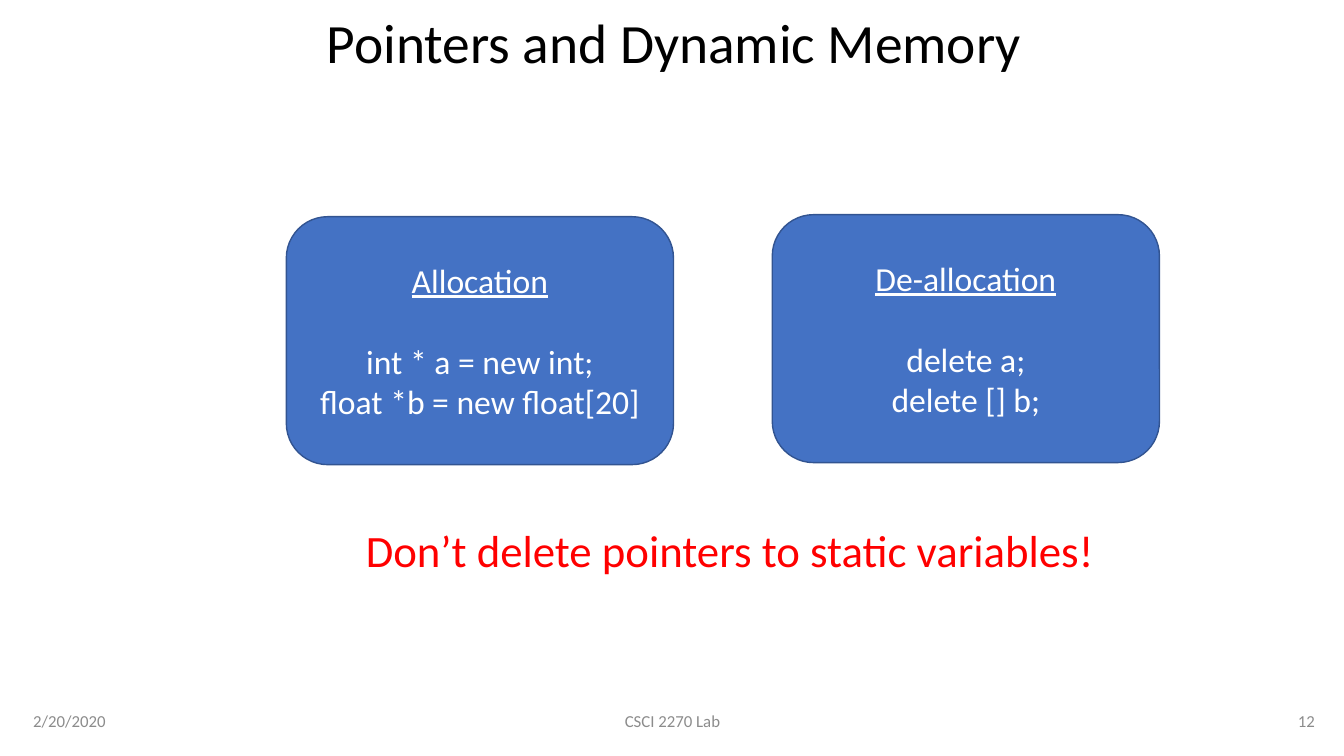
import pptx
import pptx.util
import pptx.dml.color
import pptx.enum.shapes
import pptx.enum.text

Inches = pptx.util.Inches
Pt = pptx.util.Pt
ALIGN = pptx.enum.text.PP_ALIGN
ANCHOR = pptx.enum.text.MSO_ANCHOR


def paint(color, code):
    color.rgb = pptx.dml.color.RGBColor.from_string(code)


def write(par, text, size, code, align):
    par.alignment = align
    run = par.add_run()
    run.text = text
    run.font.name = "Calibri"
    run.font.size = Pt(size)
    paint(run.font.color, code)
    return run


deck = pptx.Presentation()
deck.slide_width = Inches(13.33)
deck.slide_height = Inches(7.5)
slide = deck.slides.add_slide(deck.slide_layouts[6])

# Title, footer and warning
labels = [
    ("Pointers and Dynamic Memory", 0.23, 0.15, 12.91, 0.6, 39.6, "000000", ALIGN.CENTER, ANCHOR.MIDDLE),
    ("2/20/2020", 0.23, 6.95, 3, 0.4, 12, "8C8C8C", ALIGN.LEFT, ANCHOR.MIDDLE),
    ("CSCI 2270 Lab", 4.42, 6.95, 4.5, 0.4, 12, "8C8C8C", ALIGN.CENTER, ANCHOR.MIDDLE),
    ("12", 10.14, 6.95, 3, 0.4, 12, "8C8C8C", ALIGN.RIGHT, ANCHOR.MIDDLE),
    ("Don’t delete pointers to static variables!", 3.53, 5.14, 7.77, 0.64, 32, "FF0000", ALIGN.LEFT, ANCHOR.TOP),
]
for text, left, top, width, height, size, code, align, anchor in labels:
    box = slide.shapes.add_textbox(Inches(left), Inches(top), Inches(width), Inches(height))
    frame = box.text_frame
    frame.word_wrap = True
    frame.vertical_anchor = anchor
    par = frame.paragraphs[0]
    par.line_spacing = 0.9 if size == 39.6 else 1.0
    write(par, text, size, code, align)

# Code cards
cards = [
    (2.84, 2.15, "Allocation", ["int * a = new int;", "float *b = new float[20]"]),
    (7.66, 2.13, "De-allocation", ["delete a;", "delete [] b;"]),
]
for left, top, head, lines in cards:
    card = slide.shapes.add_shape(
        pptx.enum.shapes.MSO_SHAPE.ROUNDED_RECTANGLE,
        Inches(left), Inches(top), Inches(3.84), Inches(2.46))
    card.shadow.inherit = False
    card.fill.solid()
    paint(card.fill.fore_color, "4472C4")
    paint(card.line.color, "325491")
    card.line.width = Pt(1)
    frame = card.text_frame
    frame.word_wrap = True
    frame.vertical_anchor = ANCHOR.MIDDLE
    run = write(frame.paragraphs[0], head, 24, "FFFFFF", ALIGN.CENTER)
    run.font.underline = True
    for row, line in enumerate(lines):
        par = frame.add_paragraph()
        par.space_before = Pt(0 if row else 29)
        write(par, line, 24, "FFFFFF", ALIGN.CENTER)

deck.save("out.pptx")
